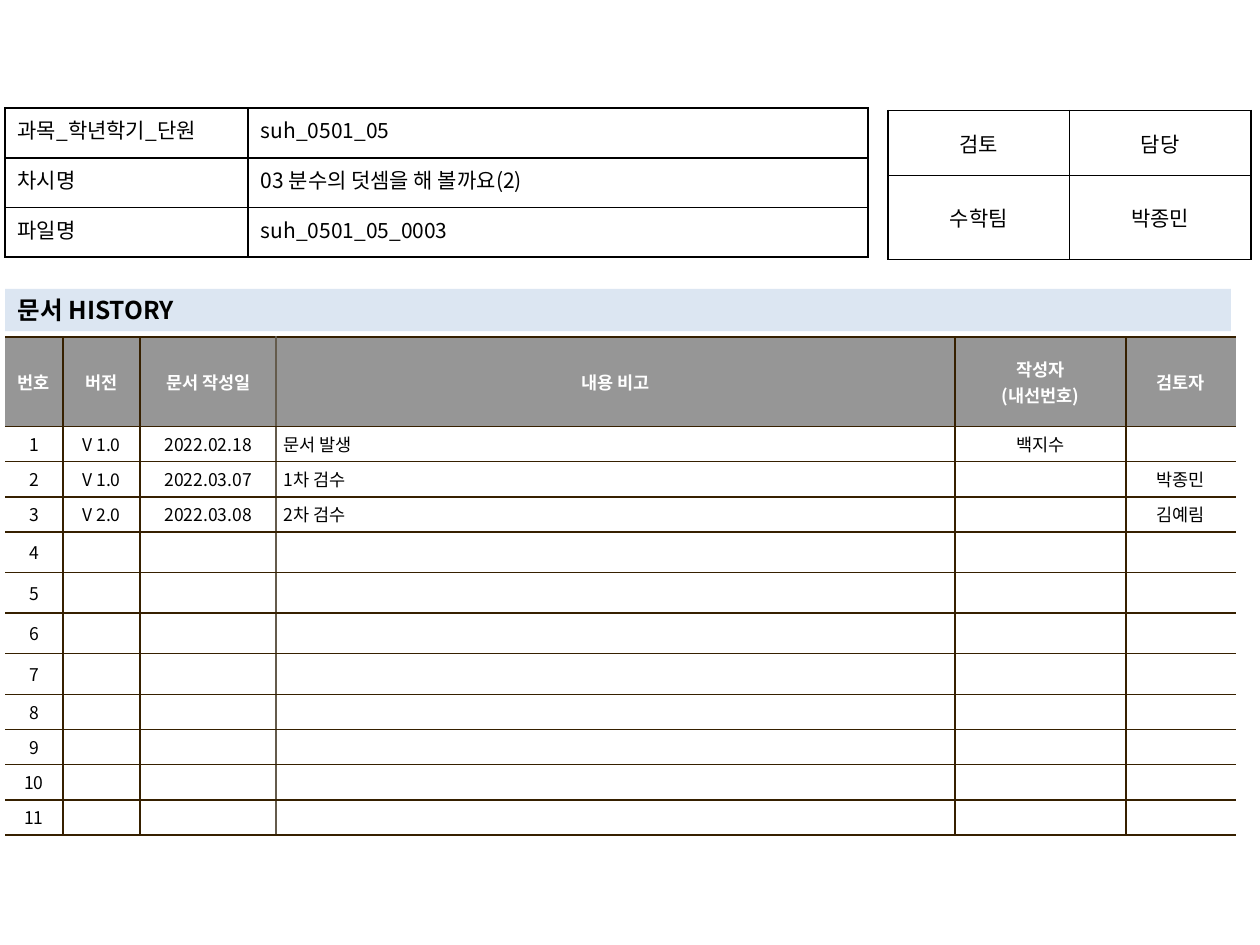
from lxml.etree import SubElement
from pptx import Presentation
from pptx.dml.color import RGBColor
from pptx.enum.text import MSO_ANCHOR as ANCHOR, MSO_AUTO_SIZE as AUTO, PP_ALIGN as ALIGN
from pptx.oxml.ns import qn
from pptx.util import Pt

FONT = "Noto Sans CJK KR"
BLACK, WHITE, GREY, BAND = "000000", "FFFFFF", "969696", "DCE6F2"
BROWN, TAUPE = "362000", "645B4C"
LEFT = 2.9
L, C, J = ALIGN.LEFT, ALIGN.CENTER, ALIGN.JUSTIFY

TITLE = "문서 HISTORY"
LESSON = [
    ["과목_학년학기_단원", "suh_0501_05"],
    ["차시명", "03 분수의 덧셈을 해 볼까요(2)"],
    ["파일명", "suh_0501_05_0003"],
]
REVIEW = [["검토", "담당"], ["수학팀", "박종민"]]
HEADER = ["번호", "버전", "문서 작성일", "내용 비고", "작성자\n(내선번호)", "검토자"]
ENTRIES = [
    ["V 1.0", "2022.02.18", "문서 발생", "백지수", ""],
    ["V 1.0", "2022.03.07", "1차 검수", "", "박종민"],
    ["V 2.0", "2022.03.08", "2차 검수", "", "김예림"],
]
ENTRY_COUNT = 11
HISTORY = [HEADER] + [
    [str(i + 1)] + (ENTRIES[i] if i < len(ENTRIES) else [""] * 5)
    for i in range(ENTRY_COUNT)
]

LESSON_FMT = dict(size=12, aligns=[J, L], anchor=ANCHOR.TOP, margins=(7.2, 3.6),
                  lines=[BLACK] * 3)
REVIEW_FMT = dict(size=12, aligns=[C, C], anchor=ANCHOR.MIDDLE, margins=(7.2, 3.6),
                  lines=[BLACK] * 3)
HISTORY_FMT = dict(size=10, aligns=[C, C, C, L, C, C], anchor=ANCHOR.MIDDLE,
                   margins=(4.4, 2.8), header=True,
                   lines=[None, BROWN, BROWN, TAUPE, BROWN, BROWN, None])


def rgb(value):
    return RGBColor.from_string(value)


def set_attrs(obj, values):
    for name, value in values.items():
        setattr(obj, name, value)


def write(tf, text, size, color, bold, align):
    tf.text = text
    for p in tf.paragraphs:
        p.alignment = align
        for r in p.runs:
            set_attrs(r.font, dict(name=FONT, size=Pt(size), bold=bold))
            r.font.color.rgb = rgb(color)
            SubElement(r.font._element, qn("a:ea"), typeface=FONT)
        if not p.runs:
            SubElement(p._p, qn("a:endParaRPr"), sz=str(size * 100))


def add_border(cell, side, color):
    ln = SubElement(cell._tc.get_or_add_tcPr(), qn("a:ln" + side), w=str(Pt(1)))
    if color:
        fill = SubElement(ln, qn("a:solidFill"))
        SubElement(fill, qn("a:srgbClr"), val=color)
    else:
        SubElement(ln, qn("a:noFill"))


def add_grid(s, rows, left, top, widths, heights, size, aligns, anchor, margins,
             lines, header=False):
    frame = s.shapes.add_table(len(rows), len(widths), Pt(left), Pt(top),
                               Pt(sum(widths)), Pt(sum(heights)))
    table = frame.table
    set_attrs(table, dict(first_row=header, horz_banding=False))
    for column, width in zip(table.columns, widths):
        column.width = Pt(width)
    for row, height in zip(table.rows, heights):
        row.height = Pt(height)
    mx, my = map(Pt, margins)
    for i, texts in enumerate(rows):
        head = header and i == 0
        for j, text in enumerate(texts):
            cell = table.cell(i, j)
            set_attrs(cell, dict(margin_left=mx, margin_right=mx, margin_top=my,
                                 margin_bottom=my, vertical_anchor=anchor))
            for side, color in zip("LRTB", (lines[j], lines[j + 1], lines[1], lines[1])):
                add_border(cell, side, color)
            cell.fill.solid()
            cell.fill.fore_color.rgb = rgb(GREY if head else WHITE)
            write(cell.text_frame, text, size, WHITE if head else BLACK, head,
                  C if head else aligns[j])


prs = Presentation()
set_attrs(prs, dict(slide_width=Pt(720), slide_height=Pt(540)))
s = prs.slides.add_slide(prs.slide_layouts[5])

title = s.shapes.title
set_attrs(title, dict(left=Pt(LEFT), top=Pt(165), width=Pt(700.5), height=Pt(24.2)))
title.fill.solid()
title.fill.fore_color.rgb = rgb(BAND)
set_attrs(title.text_frame, dict(word_wrap=True, auto_size=AUTO.NONE,
                                 vertical_anchor=ANCHOR.MIDDLE))
write(title.text_frame, TITLE, 14, BLACK, True, L)

add_grid(s, HISTORY, LEFT, 192.7, [33, 44.2, 77.7, 388, 97.8, 62.5],
         [51] + [20.1] * 3 + [23.2] * 4 + [20.1] * 4, **HISTORY_FMT)
add_grid(s, REVIEW, 507.5, 63.2, [103.7] * 2, [37.2, 47.8], **REVIEW_FMT)
add_grid(s, LESSON, LEFT, 61.8, [138.9, 354.2], [28.4] * 3, **LESSON_FMT)

prs.save("out.pptx")
